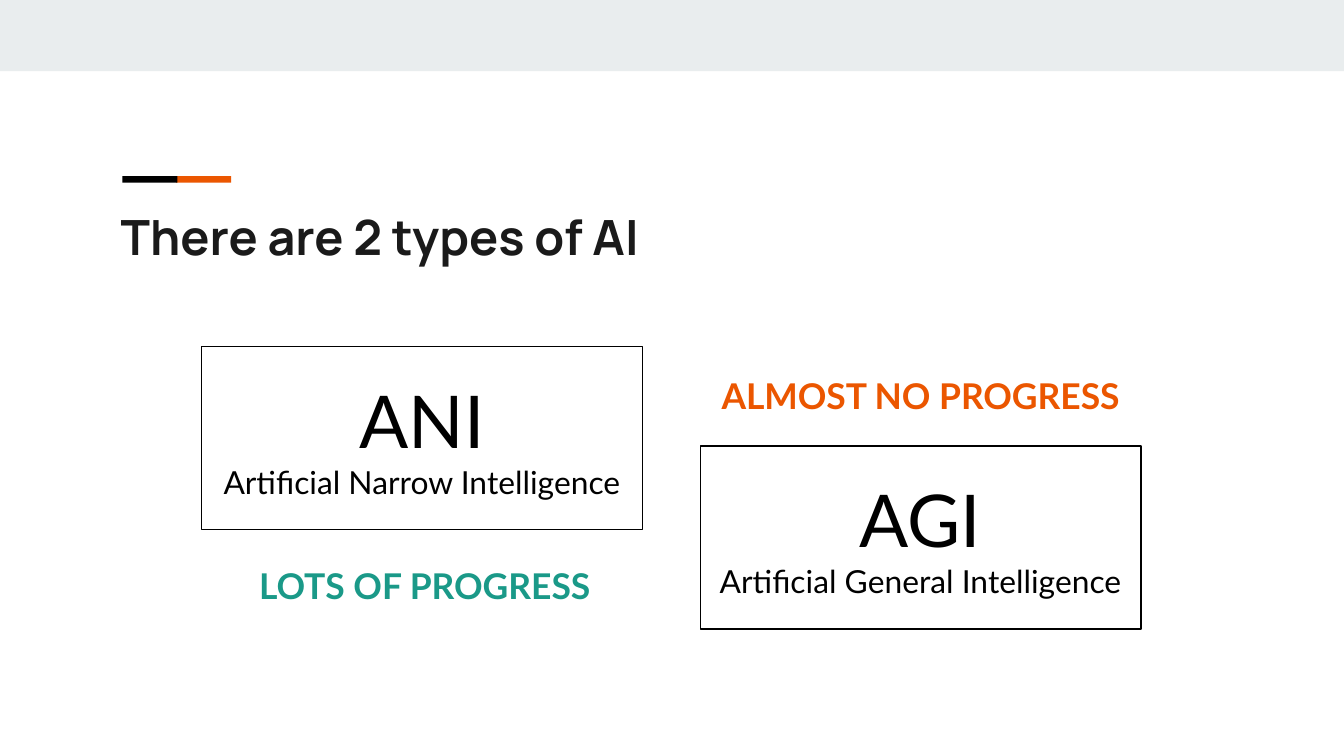
from pptx import Presentation
from pptx.dml.color import RGBColor
from pptx.enum.shapes import MSO_SHAPE
from pptx.enum.text import MSO_ANCHOR, PP_ALIGN
from pptx.util import Inches, Pt

RECTANGLE = MSO_SHAPE.RECTANGLE
TOP, MIDDLE, BOTTOM = MSO_ANCHOR.TOP, MSO_ANCHOR.MIDDLE, MSO_ANCHOR.BOTTOM
LEFT, CENTER = PP_ALIGN.LEFT, PP_ALIGN.CENTER

COLORS = {
    "band": "E9EDEE",
    "orange": "EB5600",
    "teal": "1A9988",
    "black": "000000",
    "title": "1A1A1A",
}

# The page is a 16:9 grid of square cells, 100 columns by 56.25 rows.
CELL = Inches(0.1)
COLUMNS, ROWS = 100, 56.25
CARD_WIDTH, CARD_HEIGHT = 32.8, 13.6
LABEL_HEIGHT = 7.7


def cells(count):
    return round(count * CELL)


def color(name):
    return RGBColor.from_string(COLORS[name])


def add_bar(page, left, top, width, height, fill):
    bar = page.shapes.add_shape(RECTANGLE, *map(cells, (left, top, width, height)))
    bar.shadow.inherit = False
    bar.fill.solid()
    bar.fill.fore_color.rgb = color(fill)
    bar.line.fill.background()


def write(box, lines, ink, font="Lato", bold=False, align=CENTER, anchor=TOP):
    """Fill a box with one paragraph for each (text, size) line."""
    frame = box.text_frame
    frame.word_wrap = True
    frame.vertical_anchor = anchor
    frame.margin_left = frame.margin_right = cells(1)
    frame.margin_top = frame.margin_bottom = cells(1)
    frame.text = "\n".join(text for text, size in lines)
    for para, (text, size) in zip(frame.paragraphs, lines):
        para.alignment = align
        for span in para.runs:
            span.font.name = font
            span.font.size = Pt(size)
            span.font.bold = bold
            span.font.color.rgb = color(ink)


def add_text(page, left, top, width, height, text, size, ink, **style):
    box = page.shapes.add_textbox(*map(cells, (left, top, width, height)))
    write(box, [(text, size)], ink, bold=True, **style)


def add_card(page, left, top, short_name, full_name):
    card = page.shapes.add_shape(
        RECTANGLE, *map(cells, (left, top, CARD_WIDTH, CARD_HEIGHT)))
    card.shadow.inherit = False
    card.fill.background()
    card.line.color.rgb = color("black")
    card.line.width = Pt(0.75)
    write(card, [(short_name, 39), (full_name, 17)], "black", anchor=MIDDLE)


def add_label(page, left, top, text, ink, anchor):
    add_text(page, left, top, CARD_WIDTH, LABEL_HEIGHT, text, 19, ink, anchor=anchor)


def main():
    deck = Presentation()
    deck.slide_width, deck.slide_height = cells(COLUMNS), cells(ROWS)
    page = deck.slides.add_slide(deck.slide_layouts[6])

    add_bar(page, 0, 0, COLUMNS, 5.3, "band")
    add_bar(page, 13.1, 13.1, 4.1, 0.5, "orange")
    add_bar(page, 9.1, 13.1, 4.1, 0.5, "black")
    add_text(page, 8, 14.4, 84.1, 5.8, "There are 2 types of AI", 26, "title",
             font="Manrope", align=LEFT)

    add_card(page, 15, 25.8, "ANI", "Artificial Narrow Intelligence")
    add_card(page, 52.1, 33.2, "AGI", "Artificial General Intelligence")
    add_label(page, 15.2, 41, "LOTS OF PROGRESS", "teal", TOP)
    add_label(page, 52.1, 24.3, "ALMOST NO PROGRESS", "orange", BOTTOM)

    deck.save("out.pptx")


if __name__ == "__main__":
    main()
